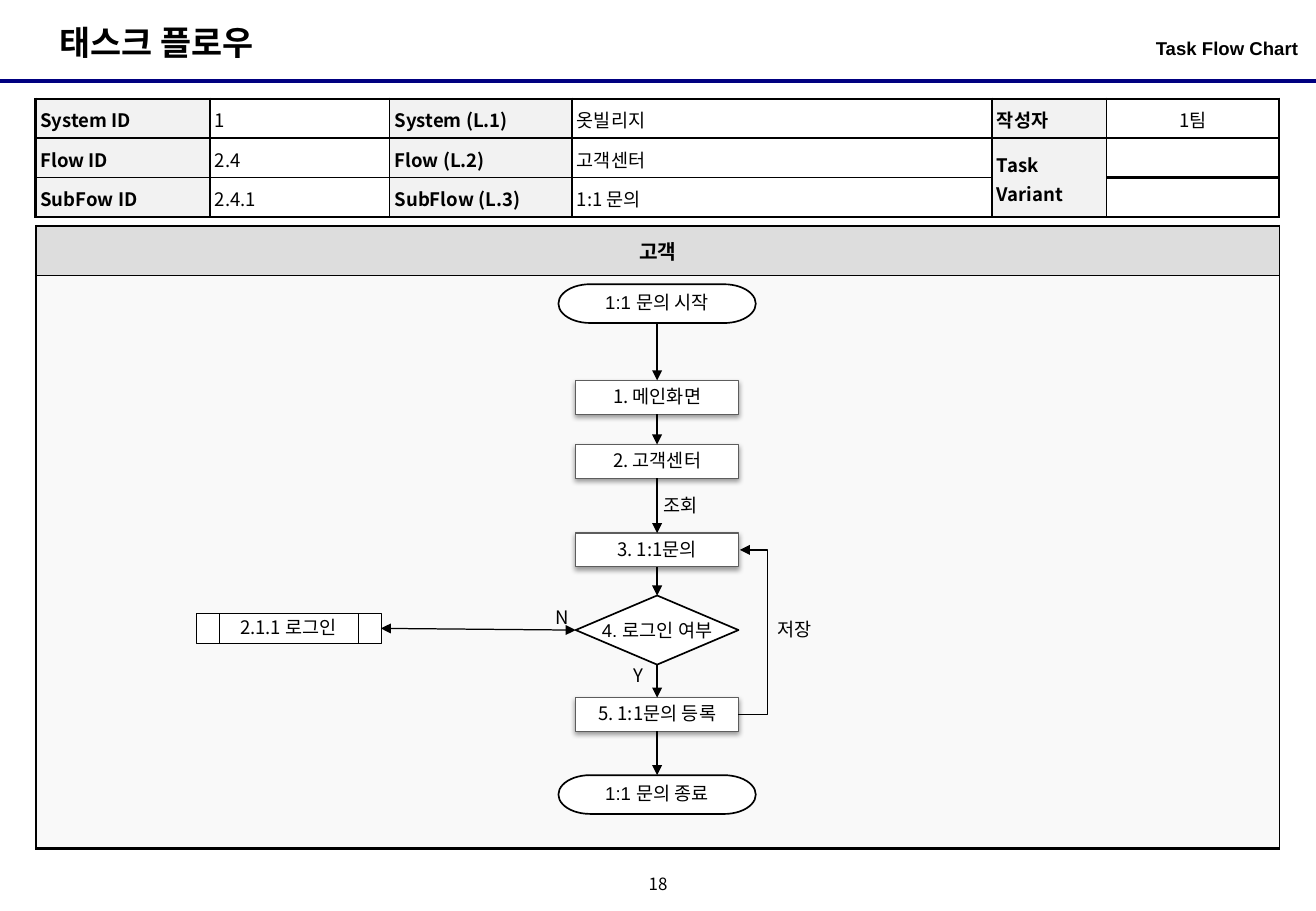
from dataclasses import dataclass
from typing import Callable, Optional

from lxml import etree
from pptx import Presentation
from pptx.dml.color import RGBColor
from pptx.enum import shapes, text
from pptx.oxml.ns import qn
from pptx.util import Pt

NOTO, ARIAL = "Noto Sans CJK KR", "Arial"
BLACK, WHITE, NAVY, GREY = "000000", "FFFFFF", "000080", "5D5D5D"
LABEL_FILL, HEAD_FILL, LANE_FILL = "F2F2F2", "DDDDDD", "F9F9F9"
LEFT, CENTER, RIGHT = text.PP_ALIGN.LEFT, text.PP_ALIGN.CENTER, text.PP_ALIGN.RIGHT
TOP, MIDDLE = text.MSO_ANCHOR.TOP, text.MSO_ANCHOR.MIDDLE
FLOW = shapes.MSO_SHAPE
AXIS = 389.5
TOP_SITE, LEFT_SITE, BOTTOM_SITE, RIGHT_SITE = range(4)


@dataclass
class Kind:
    """Look shared by all flow nodes of one type."""
    preset: shapes.MSO_SHAPE
    w: float
    h: float
    line: str = BLACK
    weight: float = 1
    font: str = NOTO
    spacing: float = 0.9
    inset: tuple = (7.2, 3.6)
    wrap: bool = True
    shadow: bool = False


@dataclass
class Node:
    """One step of the flow, placed by its centre line and top."""
    kind: Kind
    words: str
    top: float
    center: float = AXIS


@dataclass
class Cell:
    """Content and fill of one table cell."""
    words: str = ""
    bold: bool = False
    fill: Optional[str] = None
    align: text.PP_ALIGN = LEFT


@dataclass
class Label:
    """Free text with its box and format."""
    words: str
    x: float
    y: float
    w: float
    h: float
    size: float = 11
    bold: bool = False
    font: str = NOTO
    align: text.PP_ALIGN = LEFT
    anchor: text.MSO_ANCHOR = TOP
    spacing: float = 1
    inset: tuple = (7.2, 3.6)
    wrap: bool = False


TERMINAL = Kind(FLOW.FLOWCHART_TERMINATOR, 117, 23, font=ARIAL, inset=(1.5, 0))
PROCESS = Kind(FLOW.FLOWCHART_PROCESS, 96.5, 20, GREY, 0.75, shadow=True)
DECISION = Kind(FLOW.FLOWCHART_DECISION, 96.5, 41, font=ARIAL, spacing=1, inset=(1.5, 0), wrap=False)
SUBFLOW = Kind(FLOW.FLOWCHART_PREDEFINED_PROCESS, 109.5, 18, weight=0.25)

STEPS = [
    Node(TERMINAL, "1:1 문의 시작", 168.5),
    Node(PROCESS, "1. 메인화면", 225.5),
    Node(PROCESS, "2. 고객센터", 263.5),
    Node(PROCESS, "3. 1:1문의", 316),
    Node(DECISION, "4. 로그인 여부", 353),
    Node(PROCESS, "5. 1:1문의 등록", 413.5),
    Node(TERMINAL, "1:1 문의 종료", 459.5),
]
LOGIN = Node(SUBFLOW, "2.1.1 로그인", 363.5, 171)

LABELS = [
    Label("태스크 플로우", 28, 9.5, 142.5, 31.5, size=20, bold=True),
    Label("Task Flow Chart", 531.5, 18.5, 238, 28, bold=True, font=ARIAL,
          align=RIGHT, inset=(0, 3.6), wrap=True),
    Label("18", 378, 516, 24, 18, size=10, align=CENTER, anchor=MIDDLE, spacing=0.8, inset=(0, 0)),
    Label("Y", 368.5, 390, 18, 21, wrap=True),
    Label("N", 322, 355.5, 19, 21, wrap=True),
    Label("저장", 453.5, 363, 36.5, 21),
    Label("조회", 386, 289.5, 36.5, 21),
]

INFO = [
    ["System ID", "1", "System (L.1)", "옷빌리지", "작성자", "1팀"],
    ["Flow ID", "2.4", "Flow (L.2)", "고객센터", "Task Variant", ""],
    ["SubFow ID", "2.4.1", "SubFlow (L.3)", "1:1 문의", "", ""],
]


def rgb(code: str) -> RGBColor:
    """Turn a hex string into a colour."""
    return RGBColor.from_string(code)


def put(tf, words: str, *, size: float = 11, bold: bool = False, font: str = NOTO,
        align=LEFT, spacing: float = 1) -> None:
    """Write one formatted paragraph into a text frame."""
    p = tf.paragraphs[0]
    p.alignment, p.line_spacing = align, spacing
    if not words:
        etree.SubElement(p._p, qn("a:endParaRPr"), sz=str(int(size * 100)))
        return
    r = p.add_run()
    r.text = words
    r.font.size, r.font.bold, r.font.name = Pt(size), bold, font
    r.font.color.rgb = rgb(BLACK)
    etree.SubElement(r._r.get_or_add_rPr(), qn("a:ea"), typeface=NOTO)


def set_frame(tf, inset: tuple, anchor, wrap: bool) -> None:
    """Set insets, anchor and wrapping of a text frame."""
    tf.margin_left = tf.margin_right = Pt(inset[0])
    tf.margin_top = tf.margin_bottom = Pt(inset[1])
    tf.vertical_anchor, tf.word_wrap = anchor, wrap


def add_label(s, lb: Label) -> None:
    """Draw a free text."""
    tf = s.shapes.add_textbox(Pt(lb.x), Pt(lb.y), Pt(lb.w), Pt(lb.h)).text_frame
    set_frame(tf, lb.inset, lb.anchor, lb.wrap)
    put(tf, lb.words, size=lb.size, bold=lb.bold, font=lb.font, align=lb.align, spacing=lb.spacing)


def add_node(s, node: Node):
    """Draw a flow node and return its shape."""
    k = node.kind
    sp = s.shapes.add_shape(k.preset, Pt(node.center - k.w / 2), Pt(node.top), Pt(k.w), Pt(k.h))
    sp.fill.solid()
    sp.fill.fore_color.rgb = rgb(WHITE)
    sp.line.color.rgb, sp.line.width = rgb(k.line), Pt(k.weight)
    sp.shadow.inherit = False
    if k.shadow:
        effects = sp._element.spPr.find(qn("a:effectLst"))
        shadow = etree.SubElement(effects, qn("a:outerShdw"), blurRad=str(Pt(3.1)), dist=str(Pt(1.6)),
                                  dir="5400000", algn="t", rotWithShape="0")
        tint = etree.SubElement(shadow, qn("a:srgbClr"), val=BLACK)
        etree.SubElement(tint, qn("a:alpha"), val="38000")
    set_frame(sp.text_frame, k.inset, MIDDLE, k.wrap)
    put(sp.text_frame, node.words, font=k.font, align=CENTER, spacing=k.spacing)
    return sp


def add_line(s, ends=(0, 0, 0, 0), *, color: str = BLACK, weight: float = 0.75,
             arrows: tuple = ("tailEnd",), kind=shapes.MSO_CONNECTOR.STRAIGHT):
    """Draw a connector with the given arrowheads and return it."""
    cx = s.shapes.add_connector(kind, *map(Pt, ends))
    cx.line.color.rgb, cx.line.width = rgb(color), Pt(weight)
    for end in arrows:
        etree.SubElement(cx.line._get_or_add_ln(), qn(f"a:{end}"), type="triangle")
    etree.SubElement(cx._element.spPr, qn("a:effectLst"))
    return cx


def link(s, a, a_site: int, b, b_site: int, **fmt) -> None:
    """Join two nodes with a straight arrow."""
    cx = add_line(s, **fmt)
    cx.begin_connect(a, a_site)
    cx.end_connect(b, b_site)


def add_grid(s, x: float, y: float, cols: list, rows: list, cells: list,
             edge: Callable[[int, int], dict], *, inset: tuple, size: float, spacing: float):
    """Draw a table whose border widths follow the edge rule."""
    frame = s.shapes.add_table(len(rows), len(cols), Pt(x), Pt(y), Pt(sum(cols)), Pt(sum(rows)))
    tbl = frame.table
    tbl.first_row = tbl.horz_banding = False
    for col, w in zip(tbl.columns, cols):
        col.width = Pt(w)
    for i, h in enumerate(rows):
        tbl.rows[i].height = Pt(h)
        for j, c in enumerate(cells[i]):
            cell = tbl.cell(i, j)
            cell.margin_left = cell.margin_right = Pt(inset[0])
            cell.margin_top = cell.margin_bottom = Pt(inset[1])
            cell.vertical_anchor = MIDDLE
            for side, width in edge(i, j).items():
                ln = etree.SubElement(cell._tc.get_or_add_tcPr(), qn(f"a:ln{side}"), w=str(Pt(width)))
                etree.SubElement(etree.SubElement(ln, qn("a:solidFill")), qn("a:srgbClr"), val=BLACK)
            if c.fill:
                cell.fill.solid()
                cell.fill.fore_color.rgb = rgb(c.fill)
            else:
                cell.fill.background()
            put(cell.text_frame, c.words, size=size, bold=c.bold, align=c.align, spacing=spacing)
    return tbl


def info_edge(i: int, j: int) -> dict:
    """Thicken the outer border and the rows of the author block."""
    thick = {"L": j == 0, "R": j == 5, "T": i == 0 or j > 3, "B": i == 2 or j > 3}
    return {side: 1.5 if on else 1 for side, on in thick.items()}


def lane_edge(i: int, j: int) -> dict:
    """Thicken the left, top and bottom of the lane."""
    return {"L": 1.5, "R": 0.75, "T": 0.75 if i else 1.5, "B": 1.5 if i else 0.75}


def info_cell(words: str, j: int) -> Cell:
    """Make a label cell in even columns and a value cell in odd ones."""
    is_label = j % 2 == 0
    return Cell(words, is_label, LABEL_FILL if is_label else None, CENTER if j == 5 else LEFT)


prs = Presentation()
prs.slide_width, prs.slide_height = Pt(780), Pt(540)
s = prs.slides.add_slide(prs.slide_layouts[6])

add_line(s, (0, 48, 780, 48), color=NAVY, weight=2.25, arrows=())
add_grid(s, 21.5, 134, [737], [29.5, 339.5],
         [[Cell("고객", True, HEAD_FILL, CENTER)], [Cell(fill=LANE_FILL)]],
         lane_edge, inset=(7.2, 3.6), size=12, spacing=1)
info = add_grid(s, 21, 58.5, [103.5, 106.5, 108, 249, 68, 102], [22.5] * 3,
                [[info_cell(words, j) for j, words in enumerate(row)] for row in INFO],
                info_edge, inset=(2.9, 2.9), size=11, spacing=1.1)
info.cell(1, 4).merge(info.cell(2, 4))

steps = [add_node(s, node) for node in STEPS]
login = add_node(s, LOGIN)
for a, b in zip(steps, steps[1:]):
    link(s, a, BOTTOM_SITE, b, TOP_SITE)
link(s, login, RIGHT_SITE, steps[4], LEFT_SITE, arrows=("headEnd", "tailEnd"))
save = add_line(s, (437.5, 423.5, 438.5, 326), kind=shapes.MSO_CONNECTOR.ELBOW)
guides = save._element.spPr.find(qn("a:prstGeom")).get_or_add_avLst()
etree.SubElement(guides, qn("a:gd"), name="adj1", fmla="val 1750000")
for label in LABELS:
    add_label(s, label)

prs.save("out.pptx")
